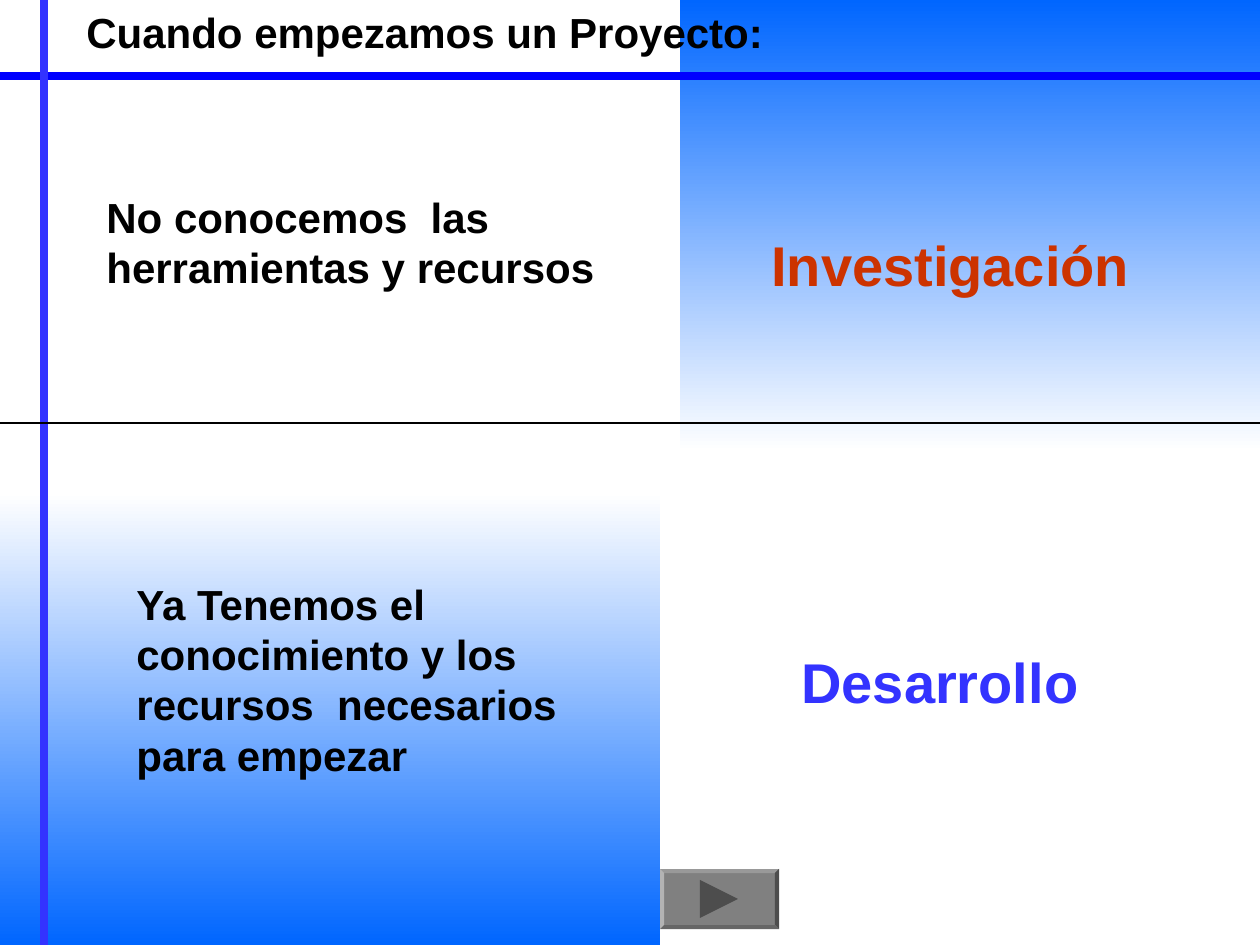
import dataclasses

import pptx
import pptx.dml.color
import pptx.enum.shapes
import pptx.enum.text
import pptx.oxml
import pptx.oxml.ns
import pptx.util

SCALE = 914400 / 126
WIDTH, HEIGHT = 1260, 945


@dataclasses.dataclass(frozen=True)
class Theme:
    """Colours and type sizes of the deck."""
    font: str = "Arial"
    body: int = 24
    label: int = 32
    ink: str = "000000"
    research: str = "CC3300"
    develop: str = "3333FF"
    rule: str = "0000FF"
    blue: str = "0066FF"
    paper: str = "FFFFFF"
    button: str = "808080"
    bevel_top: str = "999999"
    bevel_left: str = "B3B3B3"
    bevel_right: str = "4D4D4D"
    bevel_bottom: str = "666666"
    arrow: str = "4D4D4D"


THEME = Theme()


def emu(pixels):
    """Turn pixels into EMU."""
    return pptx.util.Emu(round(pixels * SCALE))


def colour(code):
    """Return the RGB colour of a hex code."""
    return pptx.dml.color.RGBColor.from_string(code)


def add_panel(page, box, angle):
    """Fill a box with a blue to white gradient."""
    panel = page.shapes.add_shape(
        pptx.enum.shapes.MSO_SHAPE.RECTANGLE, *map(emu, box))
    panel.shadow.inherit = False
    panel.line.fill.background()
    panel.fill.gradient()
    panel.fill.gradient_angle = angle
    for stop, code in zip(panel.fill.gradient_stops, (THEME.blue, THEME.paper)):
        stop.color.rgb = colour(code)


def add_rule(page, start, end, code, weight):
    """Draw a straight line without shadow."""
    rule = page.shapes.add_connector(
        pptx.enum.shapes.MSO_CONNECTOR.STRAIGHT, *map(emu, start + end))
    rule.line.color.rgb = colour(code)
    rule.line.width = pptx.util.Pt(weight)
    properties = rule.element.find(pptx.oxml.ns.qn("p:spPr"))
    properties.append(pptx.oxml.parse_xml(
        f'<a:effectLst {pptx.oxml.ns.nsdecls("a")}/>'))


def add_text(page, box, words, size, code, space):
    """Write one bold paragraph in a box."""
    frame = page.shapes.add_textbox(*map(emu, box)).text_frame
    frame.word_wrap = True
    frame.auto_size = pptx.enum.text.MSO_AUTO_SIZE.SHAPE_TO_FIT_TEXT
    para = frame.paragraphs[0]
    para.space_before = pptx.util.Pt(space)
    span = para.add_run()
    span.text = words
    span.font.name = THEME.font
    span.font.size = pptx.util.Pt(size)
    span.font.bold = True
    span.font.color.rgb = colour(code)


def add_face(page, points, code):
    """Draw a closed flat polygon."""
    corners = [(emu(x), emu(y)) for x, y in points]
    builder = page.shapes.build_freeform(*corners[0])
    builder.add_line_segments(corners[1:], close=True)
    face = builder.convert_to_shape()
    face.shadow.inherit = False
    face.fill.solid()
    face.fill.fore_color.rgb = colour(code)
    face.line.fill.background()


def add_next_button(page, box):
    """Draw a bevelled button with a forward arrow."""
    left, top, width, height = box
    edge, half = 4, 19

    def corners(inset):
        """Return the corners clockwise from top left."""
        x1, y1 = left + inset, top + inset
        x2, y2 = left + width - inset, top + height - inset
        return [(x1, y1), (x2, y1), (x2, y2), (x1, y2)]

    outer, inner = corners(0), corners(edge)
    add_face(page, outer, THEME.button)
    shades = (THEME.bevel_top, THEME.bevel_right,
              THEME.bevel_bottom, THEME.bevel_left)
    for i, shade in enumerate(shades):
        j = (i + 1) % 4
        add_face(page, [outer[i], outer[j], inner[j], inner[i]], shade)
    x, y = left + width // 2, top + height // 2
    add_face(page, [(x - half, y - half), (x + half, y), (x - half, y + half)],
             THEME.arrow)


def add_project_page(page, box):
    """Lay out the two stages of a project in a box."""
    left, top, width, height = box
    right, bottom = left + width, top + height
    panel_height = 452
    add_panel(page, (left, bottom - panel_height, 660, panel_height), 90)
    add_panel(page, (right - 580, top, 580, panel_height), 270)
    add_rule(page, (left, top + 76), (right, top + 76), THEME.rule, 5)
    add_rule(page, (left + 44, top), (left + 44, bottom), THEME.develop, 5)
    texts = (
        ((74, 0, 794, 63), "Cuando empezamos un Proyecto:",
         THEME.body, THEME.ink, 15),
        ((94, 185, 596, 113), "No conocemos  las herramientas y recursos",
         THEME.body, THEME.ink, 15),
        ((124, 572, 536, 214),
         "Ya Tenemos el conocimiento y los recursos  necesarios para empezar",
         THEME.body, THEME.ink, 15),
        ((759, 224, 417, 81), "Investigación", THEME.label, THEME.research, 20),
        ((789, 641, 377, 81), "Desarrollo", THEME.label, THEME.develop, 20),
    )
    for (x, y, wide, high), *style in texts:
        add_text(page, (left + x, top + y, wide, high), *style)
    add_rule(page, (left, top + 423), (right, top + 423), THEME.ink, 0.75)
    add_next_button(page, (left + 660, top + 869, 119, 60))


def main():
    """Build and save the deck."""
    deck = pptx.Presentation()
    deck.slide_width, deck.slide_height = emu(WIDTH), emu(HEIGHT)
    page = deck.slides.add_slide(deck.slide_layouts[6])
    add_project_page(page, (0, 0, WIDTH, HEIGHT))
    deck.save("out.pptx")


if __name__ == "__main__":
    main()
